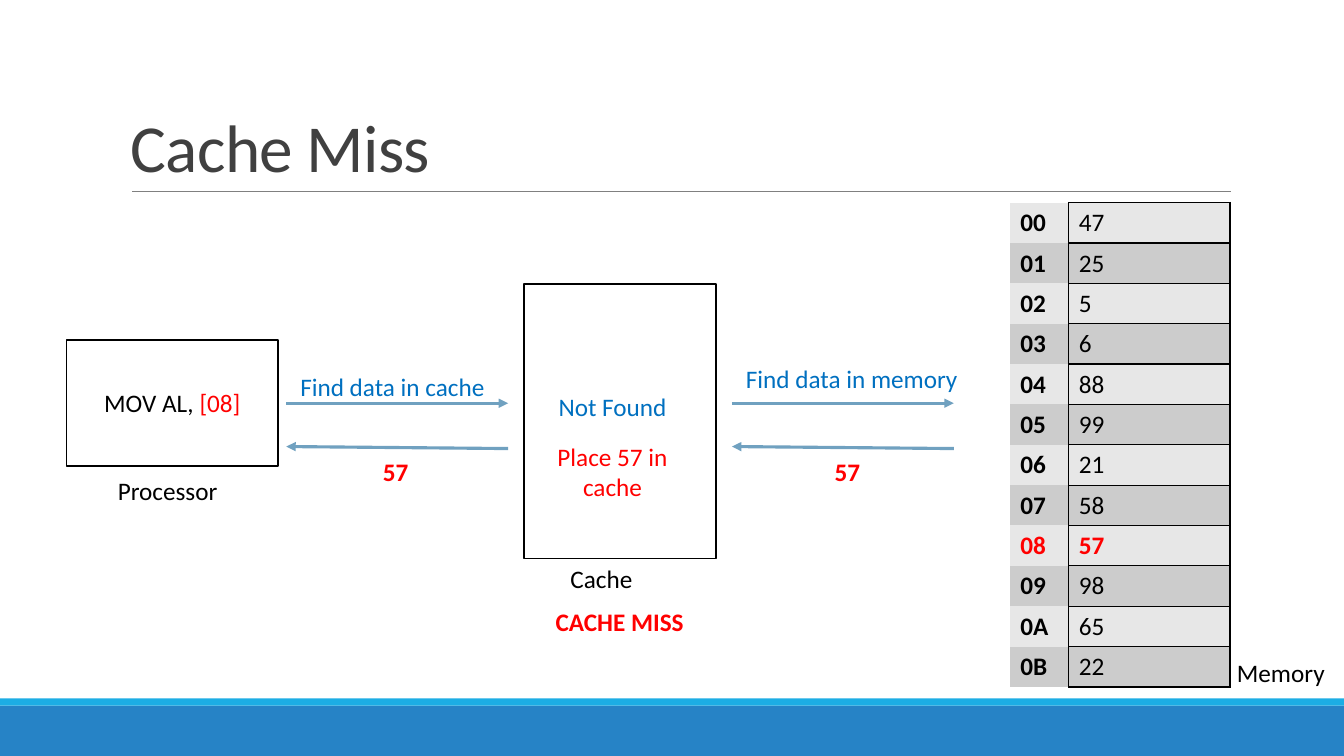
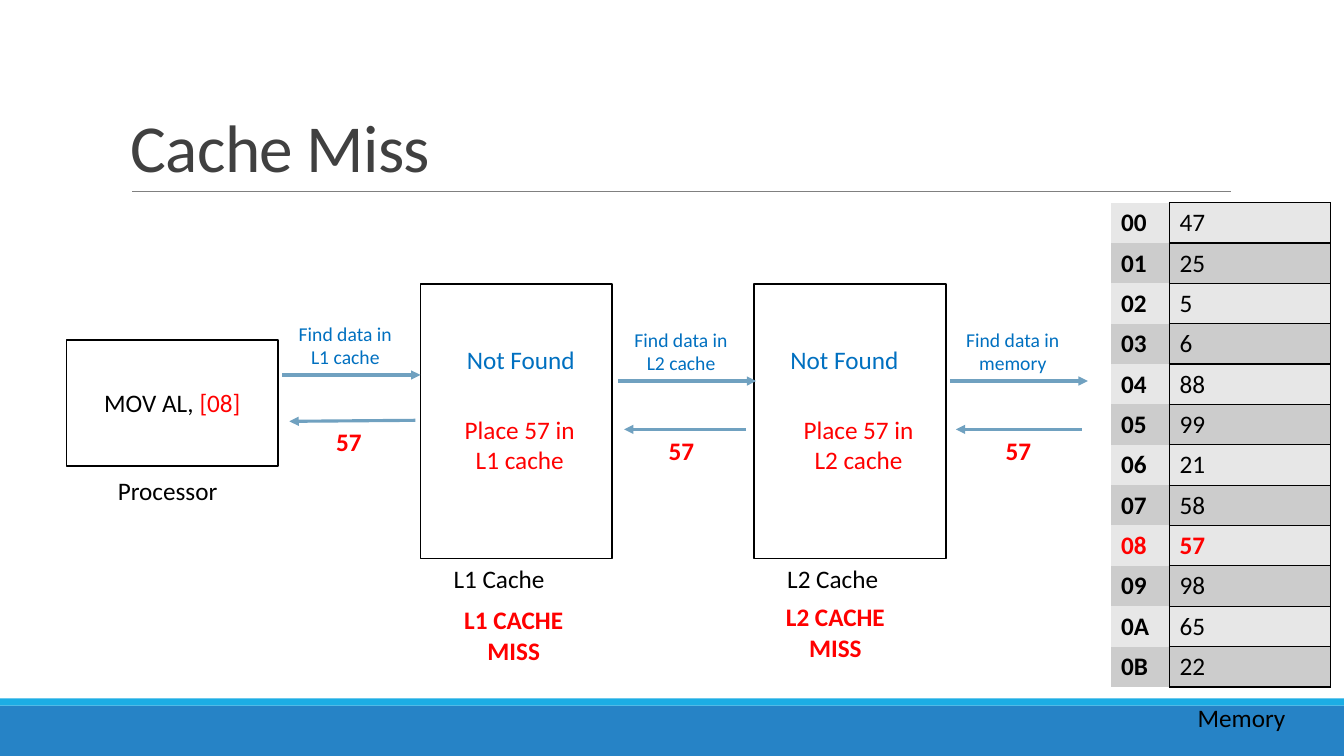
from lxml import etree
from pptx import Presentation
from pptx.dml.color import RGBColor
from pptx.enum.shapes import MSO_CONNECTOR, MSO_SHAPE
from pptx.enum.text import MSO_ANCHOR, PP_ALIGN
from pptx.oxml.ns import qn
from pptx.util import Inches, Pt

FONT = "Calibri"
BLACK = RGBColor(0x00, 0x00, 0x00)
WHITE = RGBColor(0xFF, 0xFF, 0xFF)
RED = RGBColor(0xFF, 0x00, 0x00)
BLUE = RGBColor(0x00, 0x70, 0xC0)
ARROW_BLUE = RGBColor(0x70, 0xA1, 0xC0)
BAND_BLUE = RGBColor(0x26, 0x83, 0xC6)
BAND_CYAN = RGBColor(0x1C, 0xAD, 0xE4)
TITLE_GRAY = RGBColor(0x40, 0x40, 0x40)
RULE_GRAY = RGBColor(0x80, 0x80, 0x80)
ROW_FILLS = (RGBColor(0xE7, 0xE7, 0xE7), RGBColor(0xCC, 0xCC, 0xCC))

PLAIN_TABLE_STYLE = "{2D5ABB26-0587-4C30-8999-92F81FD0307C}"
MEMORY_VALUES = (47, 25, 5, 6, 88, 99, 21, 58, 57, 98, 65, 22)
WANTED_ADDRESS = 8


def write(paragraph, text, color=BLACK, size=18, bold=False):
    run = paragraph.add_run()
    run.text = text
    run.font.name = FONT
    run.font.size = Pt(size)
    run.font.bold = bold
    run.font.color.rgb = color
    return run


def add_rect(slide, left, top, width, height, fill, outline=None):
    rect = slide.shapes.add_shape(MSO_SHAPE.RECTANGLE, Inches(left), Inches(top),
                                  Inches(width), Inches(height))
    rect.shadow.inherit = False
    rect.fill.solid()
    rect.fill.fore_color.rgb = fill
    if outline is None:
        rect.line.fill.background()
    else:
        rect.line.color.rgb = outline
        rect.line.width = Pt(1.25)
    return rect


def add_label(slide, text, left, top, width, height=0.4, color=BLACK, size=18,
              bold=False, align=PP_ALIGN.CENTER, fill=WHITE):
    """Add a text box with one paragraph for each line of text."""
    label = slide.shapes.add_textbox(Inches(left), Inches(top),
                                     Inches(width), Inches(height))
    if fill is not None:
        label.fill.solid()
        label.fill.fore_color.rgb = fill
    frame = label.text_frame
    frame.word_wrap = True
    for number, line in enumerate(text.split("\n")):
        paragraph = frame.add_paragraph() if number else frame.paragraphs[0]
        paragraph.alignment = align
        write(paragraph, line, color, size, bold)


def add_caption(slide, text, left, top, width):
    add_label(slide, text, left, top, width, align=PP_ALIGN.LEFT, fill=None)


def add_line(slide, start, end, color, weight):
    line = slide.shapes.add_connector(MSO_CONNECTOR.STRAIGHT,
                                      *map(Inches, (*start, *end)))
    line.line.color.rgb = color
    line.line.width = Pt(weight)
    etree.SubElement(line._element.spPr, qn("a:effectLst"))
    return line


def add_arrow(slide, start, end):
    arrow = add_line(slide, start, end, ARROW_BLUE, 2.25)
    etree.SubElement(arrow.line._get_or_add_ln(), qn("a:tailEnd"), type="triangle")


def add_base(prs, title):
    """Add a slide with the bands, the title and the rule below it."""
    slide = prs.slides.add_slide(prs.slide_layouts[6])
    add_rect(slide, 0, 7, 13.33, 0.5, BAND_BLUE)
    add_rect(slide, 0, 6.93, 13.33, 0.07, BAND_CYAN)
    add_line(slide, (1.31, 1.9), (12.21, 1.9), RULE_GRAY, 0.5)
    heading = slide.shapes.add_textbox(Inches(1.2), Inches(0.31),
                                       Inches(11), Inches(1.59)).text_frame
    heading.word_wrap = True
    heading.vertical_anchor = MSO_ANCHOR.BOTTOM
    paragraph = heading.paragraphs[0]
    paragraph.line_spacing = 0.85
    run = write(paragraph, title, TITLE_GRAY, 48)
    run.font._element.set("spc", "-50")
    return slide


def add_processor(slide):
    processor = add_rect(slide, 0.66, 3.37, 2.1, 1.25, WHITE, BLACK)
    processor.text_frame.vertical_anchor = MSO_ANCHOR.MIDDLE
    instruction = processor.text_frame.paragraphs[0]
    instruction.alignment = PP_ALIGN.CENTER
    write(instruction, "MOV AL, ")
    write(instruction, "[08]", RED)
    add_caption(slide, "Processor", 1.07, 4.67, 2.1)


def add_cache(slide, left):
    add_rect(slide, left, 2.82, 1.9, 2.72, WHITE, BLACK)


def add_borders(cell):
    properties = cell._tc.get_or_add_tcPr()
    for position, side in enumerate(("a:lnL", "a:lnR", "a:lnT", "a:lnB")):
        border = etree.Element(qn(side), w=str(Pt(1)))
        fill = etree.SubElement(border, qn("a:solidFill"))
        etree.SubElement(fill, qn("a:srgbClr"), val=str(BLACK))
        properties.insert(position, border)


def add_memory(slide, left):
    """Add the table of addresses and values, with the wanted row in red."""
    row_count = len(MEMORY_VALUES)
    frame = slide.shapes.add_table(row_count, 2, Inches(left), Inches(2.01),
                                   Inches(2.18), Inches(0.4 * row_count))
    memory = frame.table
    memory.first_row = memory.horz_banding = False
    memory._tbl.tblPr.find(qn("a:tableStyleId")).text = PLAIN_TABLE_STYLE
    for column, width in zip(memory.columns, (0.58, 1.6)):
        column.width = Inches(width)
    for address, value in enumerate(MEMORY_VALUES):
        memory.rows[address].height = Inches(0.4)
        wanted = address == WANTED_ADDRESS
        for column, text in enumerate((f"{address:02X}", str(value))):
            cell = memory.cell(address, column)
            cell.fill.solid()
            cell.fill.fore_color.rgb = ROW_FILLS[address % 2]
            write(cell.text_frame.paragraphs[0], text, RED if wanted else BLACK,
                  bold=wanted or column == 0)
        add_borders(memory.cell(address, 1))


def add_single_cache_slide(prs):
    slide = add_base(prs, "Cache Miss")
    add_processor(slide)
    add_cache(slide, 5.2)
    add_memory(slide, 10.02)
    add_caption(slide, "Cache", 5.56, 5.54, 2.1)
    add_caption(slide, "Memory", 12.17, 6.47, 1.16)
    add_label(slide, "Not Found", 5.28, 3.83, 1.59, color=BLUE)
    add_label(slide, "Place 57 in\ncache", 5.28, 4.33, 1.59, 0.71, RED)
    add_label(slide, "CACHE MISS", 5.35, 5.97, 1.59, color=RED, bold=True)

    requests = (
        ("Find data in cache", 2.88, 3.63, 2.12, 2.84, 2.83),
        ("Find data in memory", 7.3, 3.56, 2.43, 7.26, 7.31),
    )
    for request, left, top, width, arrow_left, reply_left in requests:
        arrow_right = arrow_left + 2.2
        add_label(slide, request, left, top, width, color=BLUE, align=PP_ALIGN.LEFT)
        add_label(slide, "57", reply_left, 4.48, 2.19, color=RED, bold=True)
        add_arrow(slide, (arrow_left, 4), (arrow_right, 4))
        add_arrow(slide, (arrow_right, 4.45), (arrow_left, 4.43))


def add_two_level_slide(prs):
    slide = add_base(prs, "Cache Miss")
    add_processor(slide)
    add_memory(slide, 11.02)
    add_caption(slide, "Memory", 11.78, 6.92, 1.16)

    caches = (
        ("L1", 4.17, 4.4, 4.37, 4.36, (4.3, 5.95)),
        ("L2", 7.48, 7.71, 7.58, 7.72, (7.49, 5.92)),
    )
    for level, left, caption_left, lookup_left, place_left, miss_at in caches:
        add_cache(slide, left)
        add_caption(slide, f"{level} Cache", caption_left, 5.54, 1.4)
        add_label(slide, "Not Found", lookup_left, 3.37, 1.59, color=BLUE)
        add_label(slide, f"Place 57 in\n{level} cache", place_left, 4.06, 1.59, 0.71, RED)
        add_label(slide, f"{level} CACHE MISS", *miss_at, 1.59, 0.71, RED, bold=True)

    requests = (
        ("L1 cache", 2.8, 3.14, (2.83, 4.18), (4.12, 4.17), (2.87, 4.18)),
        ("L2 cache", 6.13, 3.2, (6.13, 4.27), (7.4, 4.26), (6.19, 4.26)),
        ("memory", 9.42, 3.2, (9.47, 4.27), (10.73, 4.26), (9.48, 4.26)),
    )
    for target, left, top, reply_at, reply_start, reply_end in requests:
        arrow_top = top + 0.58
        add_label(slide, f"Find data in\n{target}", left, top, 1.25, 0.57, BLUE, 14)
        add_label(slide, "57", *reply_at, 1.26, color=RED, bold=True)
        add_arrow(slide, (left, arrow_top), (left + 1.37, arrow_top))
        add_arrow(slide, reply_start, reply_end)


def main():
    prs = Presentation()
    prs.slide_width, prs.slide_height = Inches(13.33), Inches(7.5)
    add_single_cache_slide(prs)
    add_two_level_slide(prs)
    prs.save("out.pptx")


if __name__ == "__main__":
    main()
